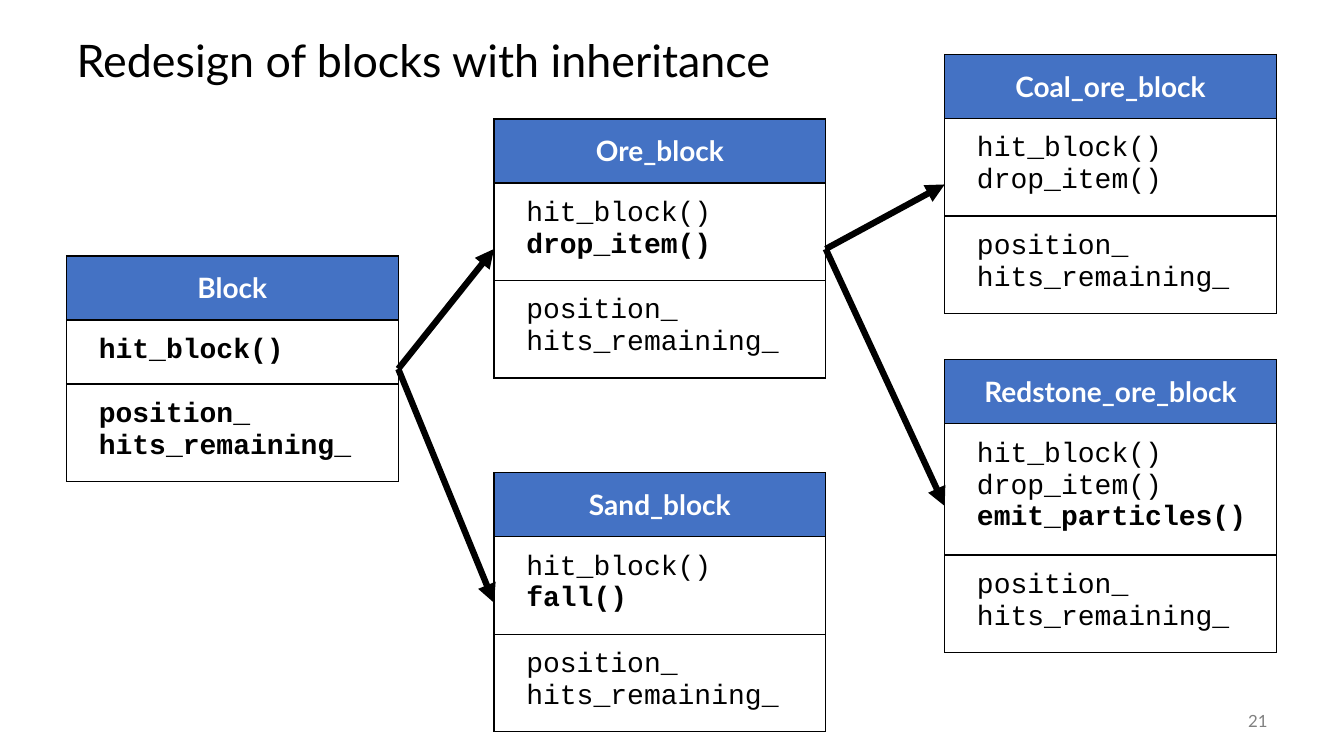
"""Build the slide showing the block class hierarchy as tables joined by arrows."""
from lxml.etree import SubElement
from pptx import Presentation
from pptx.dml.color import RGBColor
from pptx.enum.shapes import MSO_CONNECTOR
from pptx.enum.text import MSO_ANCHOR, PP_ALIGN
from pptx.oxml.ns import qn
from pptx.util import Inches, Pt

COLORS = {"black": "000000", "white": "FFFFFF", "header": "4472C4", "number": "808080"}
CLASS_W = 3.29
HEADER_H = 0.635
LINE_H = 0.315
PAD = 0.15
TEXT_INDENT = 0.32

CLASSES = {
    "Sand_block": (4.9, 4.69, 5.98, ["hit_block()", "fall()"]),
    "Coal_ore_block": (9.37, 0.54, 1.83, ["hit_block()", "drop_item()"]),
    "Redstone_ore_block": (9.37, 3.57, 5.02,
                           ["hit_block()", "drop_item()", "emit_particles()"]),
    "Block": (0.66, 2.54, 3.66, ["hit_block()"]),
    "Ore_block": (4.9, 1.18, 2.47, ["hit_block()", "drop_item()"]),
}
FIELDS = ["position_", "hits_remaining_"]
NEW_MEMBERS = {
    "Block": ["hit_block()"] + FIELDS,
    "Ore_block": ["drop_item()"],
    "Sand_block": ["fall()"],
    "Redstone_ore_block": ["emit_particles()"],
}
INHERITANCE = [
    ("Block", "Ore_block"),
    ("Block", "Sand_block"),
    ("Ore_block", "Coal_ore_block"),
    ("Ore_block", "Redstone_ore_block"),
]


def set_font(p, name, size, color, bold=False):
    p.font.name = name
    p.font.size = Pt(size)
    p.font.bold = bold
    p.font.color.rgb = RGBColor.from_string(COLORS[color])


def add_borders(cell):
    tcPr = cell._tc.get_or_add_tcPr()
    for side in ("lnL", "lnR", "lnT", "lnB"):
        ln = SubElement(tcPr, qn(f"a:{side}"), w=str(Pt(1)))
        fill = SubElement(ln, qn("a:solidFill"))
        SubElement(fill, qn("a:srgbClr"), val=COLORS["black"])


prs = Presentation()
prs.slide_width, prs.slide_height = Inches(13.33), Inches(7.5)
s = prs.slides.add_slide(prs.slide_layouts[5])

title = s.shapes.title
title.left, title.top = Inches(0.66), Inches(0.25)
title.width, title.height = Inches(12), Inches(0.75)
tf = title.text_frame
tf.text = "Redesign of blocks with inheritance"
tf.vertical_anchor = MSO_ANCHOR.MIDDLE
p = tf.paragraphs[0]
p.alignment = PP_ALIGN.LEFT
p.line_spacing = 0.9
set_font(p, "Lato", 32, "black")

number = s.shapes.add_textbox(Inches(11.67), Inches(6.95), Inches(1), Inches(0.4))
tf = number.text_frame
tf.word_wrap = True
tf.vertical_anchor = MSO_ANCHOR.MIDDLE
p = tf.paragraphs[0]
p.text = "21"
p.alignment = PP_ALIGN.RIGHT
set_font(p, "Lato", 12, "number")

for name, (left, top, _, methods) in CLASSES.items():
    sections = [[name], methods, FIELDS]
    heights = [HEADER_H] + [2 * PAD + LINE_H * len(lines) for lines in sections[1:]]
    table = s.shapes.add_table(3, 1, Inches(left), Inches(top),
                               Inches(CLASS_W), Inches(sum(heights))).table
    table.horz_banding = False
    for i, (lines, height) in enumerate(zip(sections, heights)):
        table.rows[i].height = Inches(height)
        cell = table.cell(i, 0)
        cell.margin_top = cell.margin_bottom = cell.margin_right = Inches(PAD)
        cell.margin_left = Inches(TEXT_INDENT if i else PAD)
        add_borders(cell)
        cell.fill.solid()
        cell.fill.fore_color.rgb = RGBColor.from_string(COLORS["white" if i else "header"])
        cell.text = "\n".join(lines)
        for p in cell.text_frame.paragraphs:
            if i:
                set_font(p, "Courier New", 20, "black", p.text in NEW_MEMBERS.get(name, []))
            else:
                p.alignment = PP_ALIGN.CENTER
                set_font(p, "Lato", 20, "white", True)

for parent, child in INHERITANCE:
    parent_left, _, parent_y, _ = CLASSES[parent]
    child_left, _, child_y, _ = CLASSES[child]
    arrow = s.shapes.add_connector(MSO_CONNECTOR.STRAIGHT,
                                   Inches(parent_left + CLASS_W), Inches(parent_y),
                                   Inches(child_left), Inches(child_y))
    arrow.line.width = Pt(4.5)
    arrow.line.color.rgb = RGBColor.from_string(COLORS["black"])
    SubElement(arrow.line._get_or_add_ln(), qn("a:tailEnd"), type="triangle")
    SubElement(arrow._element.spPr, qn("a:effectLst"))

prs.save("out.pptx")
